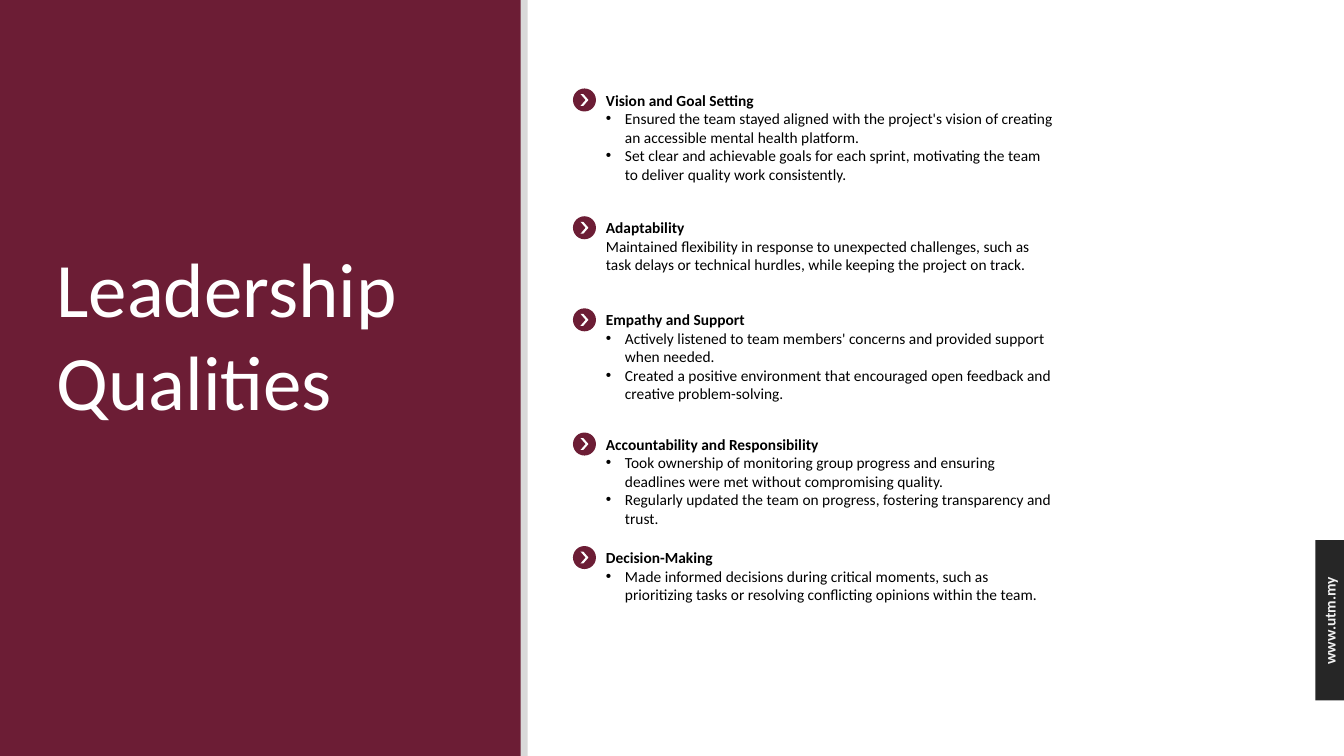
from lxml import etree
from pptx import Presentation
from pptx.dml.color import RGBColor
from pptx.enum.shapes import MSO_SHAPE
from pptx.enum.text import MSO_ANCHOR, MSO_AUTO_SIZE, PP_ALIGN
from pptx.oxml.ns import qn
from pptx.util import Cm, Pt

RECTANGLE = MSO_SHAPE.RECTANGLE
OVAL = MSO_SHAPE.OVAL
CHEVRON = MSO_SHAPE.CHEVRON
TOP = MSO_ANCHOR.TOP
NO_AUTOFIT = MSO_AUTO_SIZE.NONE
LEFT = PP_ALIGN.LEFT
CENTER = PP_ALIGN.CENTER

MAROON = RGBColor(0x6C, 0x1D, 0x35)
SILVER = RGBColor(0xD9, 0xD9, 0xD9)
CHARCOAL = RGBColor(0x26, 0x26, 0x26)
PALE = RGBColor(0xF2, 0xF2, 0xF2)
WHITE = RGBColor(0xFF, 0xFF, 0xFF)
BLACK = RGBColor(0, 0, 0)

QUALITIES = [
    (2.16, 2.62, "Vision and Goal Setting", True, [
        "Ensured the team stayed aligned with the project's vision of creating an accessible mental health platform.",
        "Set clear and achievable goals for each sprint, motivating the team to deliver quality work consistently."]),
    (5.38, 1.68, "Adaptability", False, [
        "Maintained flexibility in response to unexpected challenges, such as task delays or technical hurdles, "
        "while keeping the project on track."]),
    (7.7, 2.62, "Empathy and Support", True, [
        "Actively listened to team members' concerns and provided support when needed.",
        "Created a positive environment that encouraged open feedback and creative problem-solving."]),
    (10.83, 2.62, "Accountability and Responsibility", True, [
        "Took ownership of monitoring group progress and ensuring deadlines were met without compromising quality.",
        "Regularly updated the team on progress, fostering transparency and trust."]),
    (13.69, 1.68, "Decision-Making", True, [
        "Made informed decisions during critical moments, such as prioritizing tasks or resolving conflicting "
        "opinions within the team."]),
]


class QualitiesSlide:
    """Draws the parts of the leadership slide in one shared style."""

    font_name = "Calibri"
    body_size = 11
    bullet_indent = Cm(0.48)

    def __init__(self, presentation):
        self.slide = presentation.slides.add_slide(presentation.slide_layouts[5])

    def style(self, paragraph, size, color, bold=False):
        for run in paragraph.runs:
            run.font.name = self.font_name
            run.font.size = Pt(size)
            run.font.bold = bold
            run.font.color.rgb = color

    def block(self, kind, left, top, width, height, color):
        block = self.slide.shapes.add_shape(kind, Cm(left), Cm(top), Cm(width), Cm(height))
        block.shadow.inherit = False
        block.fill.solid()
        block.fill.fore_color.rgb = color
        block.line.fill.background()
        return block

    def text_box(self, left, top, width, height):
        box = self.slide.shapes.add_textbox(Cm(left), Cm(top), Cm(width), Cm(height))
        box.text_frame.word_wrap = True
        return box

    def title(self, text, left, top, width, height):
        title = self.slide.shapes.title
        title.element.getparent().append(title.element)
        title.left, title.top, title.width, title.height = Cm(left), Cm(top), Cm(width), Cm(height)
        frame = title.text_frame
        frame.text = text
        frame.word_wrap = True
        frame.auto_size = NO_AUTOFIT
        frame.vertical_anchor = TOP
        frame.paragraphs[0].alignment = LEFT
        self.style(frame.paragraphs[0], 55, WHITE)

    def side_tab(self, text):
        self.block(RECTANGLE, 33.15, 13.61, 0.72, 4.04, CHARCOAL)
        address = self.text_box(31.6, 15.27, 3.84, 0.74)
        address.rotation = 270
        address.text_frame.text = text
        label = address.text_frame.paragraphs[0]
        label.alignment = CENTER
        self.style(label, self.body_size, PALE, bold=True)

    def bullet(self, paragraph):
        properties = paragraph._p.get_or_add_pPr()
        properties.set("marL", str(self.bullet_indent))
        properties.set("indent", str(-self.bullet_indent))
        etree.SubElement(properties, qn("a:buFont")).set("typeface", "Arial")
        etree.SubElement(properties, qn("a:buChar")).set("char", "•")

    def marker(self, left, top):
        self.block(OVAL, left, top, 0.58, 0.58, MAROON)
        arrow = self.block(CHEVRON, left + 0.19, top + 0.14, 0.2, 0.3, WHITE)
        arrow.adjustments[0] = 0.65

    def quality(self, top, height, heading, bulleted, points):
        frame = self.text_box(15.27, top, 11.3, height).text_frame
        frame.margin_left = frame.margin_right = 0
        frame.text = heading
        self.style(frame.paragraphs[0], self.body_size, BLACK, bold=True)
        for point in points:
            paragraph = frame.add_paragraph()
            paragraph.text = point
            if bulleted:
                self.bullet(paragraph)
            self.style(paragraph, self.body_size, BLACK)
        self.marker(14.44, top + 0.07)


def main():
    presentation = Presentation()
    presentation.slide_width = Cm(33.87)
    presentation.slide_height = Cm(19.05)

    page = QualitiesSlide(presentation)
    page.block(RECTANGLE, -0.1, 0, 13.23, 19.05, MAROON)
    page.block(RECTANGLE, 13.12, 0, 0.18, 19.05, SILVER)
    page.side_tab("www.utm.my")
    page.title("Leadership Qualities", 1.17, 5.94, 9.2, 4.95)
    for quality in QUALITIES:
        page.quality(*quality)

    presentation.save("out.pptx")


if __name__ == "__main__":
    main()
